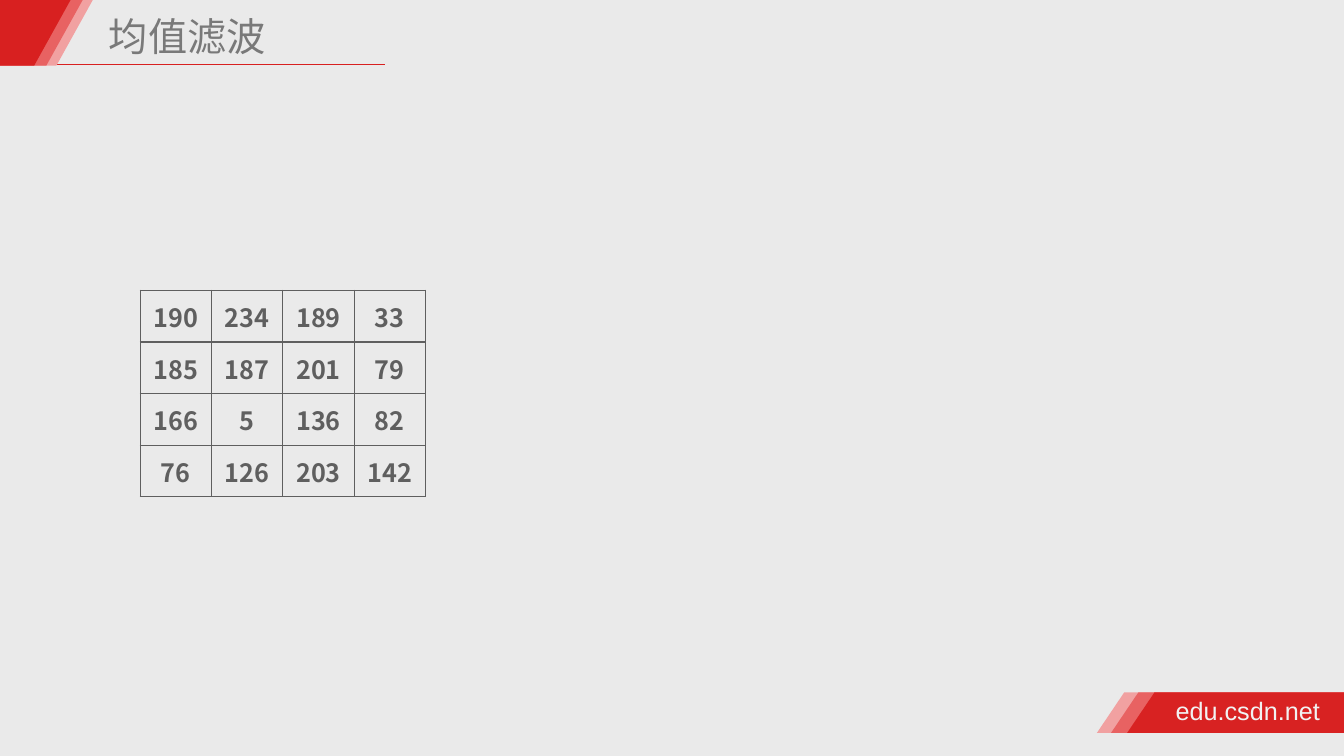
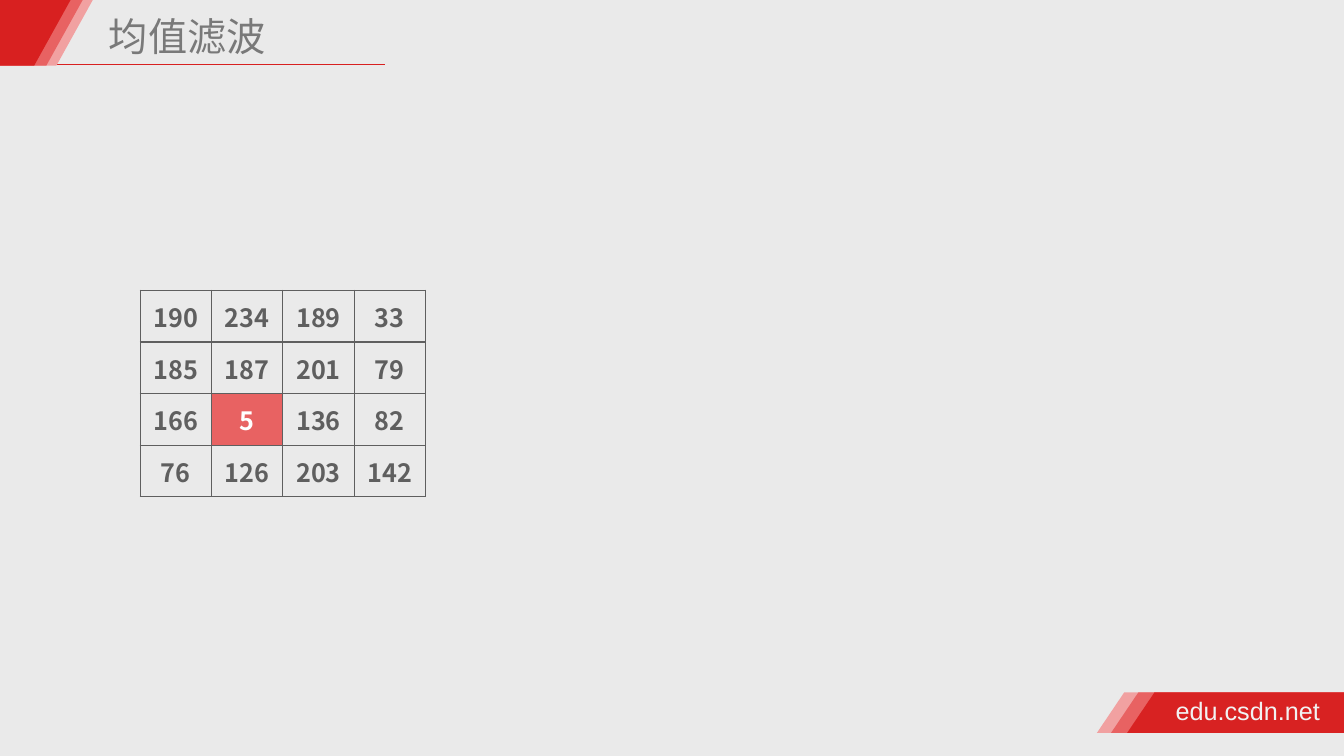
from lxml import etree
from pptx import Presentation
from pptx.dml.color import RGBColor
from pptx.enum.shapes import MSO_CONNECTOR
from pptx.enum.text import MSO_ANCHOR, MSO_AUTO_SIZE, PP_ALIGN
from pptx.oxml.ns import qn
from pptx.util import Inches, Pt

LINE = MSO_CONNECTOR.STRAIGHT
TOP, MIDDLE = MSO_ANCHOR.TOP, MSO_ANCHOR.MIDDLE
GROW = MSO_AUTO_SIZE.SHAPE_TO_FIT_TEXT
LEFT, CENTER = PP_ALIGN.LEFT, PP_ALIGN.CENTER

WIDE, HIGH = 13.33, 7.5
PAPER, GRAY, WHITE = "EAEAEA", "5F5F5F", "FFFFFF"
PINK, CORAL, RED = "F1A1A1", "E86262", "D82020"
SANS = "Noto Sans CJK SC"

TITLE = {"name": SANS, "size": Pt(28), "color": "797979"}
SITE = {"name": "Arial", "size": Pt(18), "color": "F2F2F2"}
DIGIT = {"name": SANS, "size": Pt(18), "bold": True, "color": GRAY}
FRAME = {"auto_size": GROW, "vertical_anchor": TOP}
INSET = {f"margin_{side}": Inches(0.05)
         for side in ("left", "top", "right", "bottom")}
CELL = {"vertical_anchor": MIDDLE, "margin_left": Inches(0.01),
        "margin_top": Inches(0.01), "margin_right": Inches(0.01),
        "margin_bottom": 0}

HEAD = [(PINK, 0.92), (CORAL, 0.82), (RED, 0.7)]
FOOT = [(PINK, 10.88, 100), (CORAL, 11.02, 100), (RED, 11.18, 97)]
PIXELS = [
    [190, 234, 189, 33],
    [185, 187, 201, 79],
    [166, 5, 136, 82],
    [76, 126, 203, 142],
]


def rgb(code):
    return RGBColor.from_string(code)


def apply(item, values):
    for name, value in values.items():
        setattr(item, name, value)


def write(part, text, look, align=LEFT):
    part.alignment = align
    run = part.add_run()
    run.text = text
    apply(run.font, {k: v for k, v in look.items() if k != "color"})
    run.font.color.rgb = rgb(look["color"])
    east = etree.SubElement(run.font._element, qn("a:ea"))
    east.set("typeface", look["name"])


def band(slide, points, color, alpha=100):
    spots = [(Inches(x), Inches(y)) for x, y in points]
    pen = slide.shapes.build_freeform(*spots[0])
    pen.add_line_segments(spots[1:], close=True)
    shape = pen.convert_to_shape()
    shape.shadow.inherit = False
    shape.line.fill.background()
    shape.fill.solid()
    shape.fill.fore_color.rgb = rgb(color)
    if alpha < 100:
        tone = shape.fill._xPr.find(".//" + qn("a:srgbClr"))
        etree.SubElement(tone, qn("a:alpha")).set("val", str(alpha * 1000))


def rule(slide, left, right, top):
    line = slide.shapes.add_connector(
        LINE, Inches(left), Inches(top), Inches(right), Inches(top))
    line.line.color.rgb = rgb(RED)
    line.line.width = Pt(1)
    etree.SubElement(line._element.spPr, qn("a:effectLst"))


def header(slide, text):
    rule(slide, 0.49, 3.82, 0.64)
    for color, edge in HEAD:
        band(slide, [(0, 0), (edge, 0), (edge - 0.36, 0.65), (0, 0.65)], color)
    title = slide.shapes.title
    apply(title, {"left": Inches(1.03), "top": Inches(0.12),
                  "width": Inches(4.36), "height": Inches(0.53)})
    frame = title.text_frame
    apply(frame, {**FRAME, **INSET, "word_wrap": True})
    part = frame.paragraphs[0]
    part.line_spacing = 0.9
    write(part, text, TITLE)


def footer(slide, text):
    top, base = 6.87, 7.27
    for color, left, alpha in FOOT:
        band(slide, [(left, base), (left + 0.27, top), (WIDE, top),
                     (WIDE, base)], color, alpha)
    box = slide.shapes.add_textbox(
        Inches(11.61), Inches(6.85), Inches(1.55), Inches(0.4))
    apply(box.text_frame, {**FRAME, **INSET, "word_wrap": False})
    write(box.text_frame.paragraphs[0], text, SITE)


def border(cell):
    props = cell._tc.get_or_add_tcPr()
    for place, side in enumerate(("a:lnL", "a:lnR", "a:lnT", "a:lnB")):
        line = etree.Element(qn(side), w=str(Pt(1)))
        fill = etree.SubElement(line, qn("a:solidFill"))
        etree.SubElement(fill, qn("a:srgbClr")).set("val", GRAY)
        props.insert(place, line)


def matrix(slide, rows, mark=None):
    table = slide.shapes.add_table(
        len(rows), len(rows[0]), Inches(1.39), Inches(2.88),
        Inches(2.83), Inches(2.05)).table
    apply(table, {"first_row": False, "horz_banding": False})
    for r, row in enumerate(rows):
        for c, value in enumerate(row):
            cell = table.cell(r, c)
            apply(cell, CELL)
            look = DIGIT
            if (r, c) == mark:
                look = {**DIGIT, "color": WHITE}
                cell.fill.solid()
                cell.fill.fore_color.rgb = rgb(CORAL)
            else:
                cell.fill.background()
            border(cell)
            write(cell.text_frame.paragraphs[0], str(value), look, CENTER)


def main():
    deck = Presentation()
    deck.slide_width, deck.slide_height = Inches(WIDE), Inches(HIGH)
    back = deck.slide_master.background.fill
    back.solid()
    back.fore_color.rgb = rgb(PAPER)
    for mark in (None, (2, 1)):
        slide = deck.slides.add_slide(deck.slide_layouts[5])
        header(slide, "均值滤波")
        footer(slide, "edu.csdn.net")
        matrix(slide, PIXELS, mark)
    deck.save("out.pptx")


if __name__ == "__main__":
    main()
